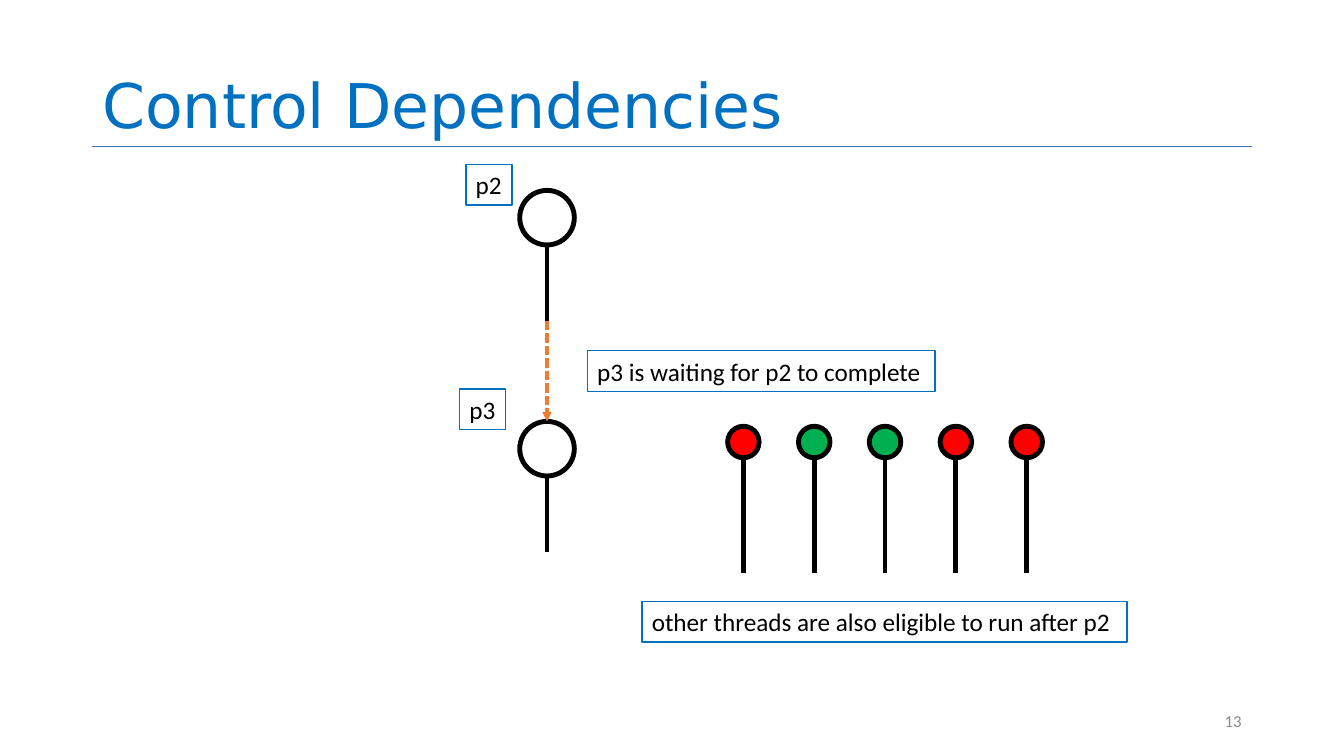
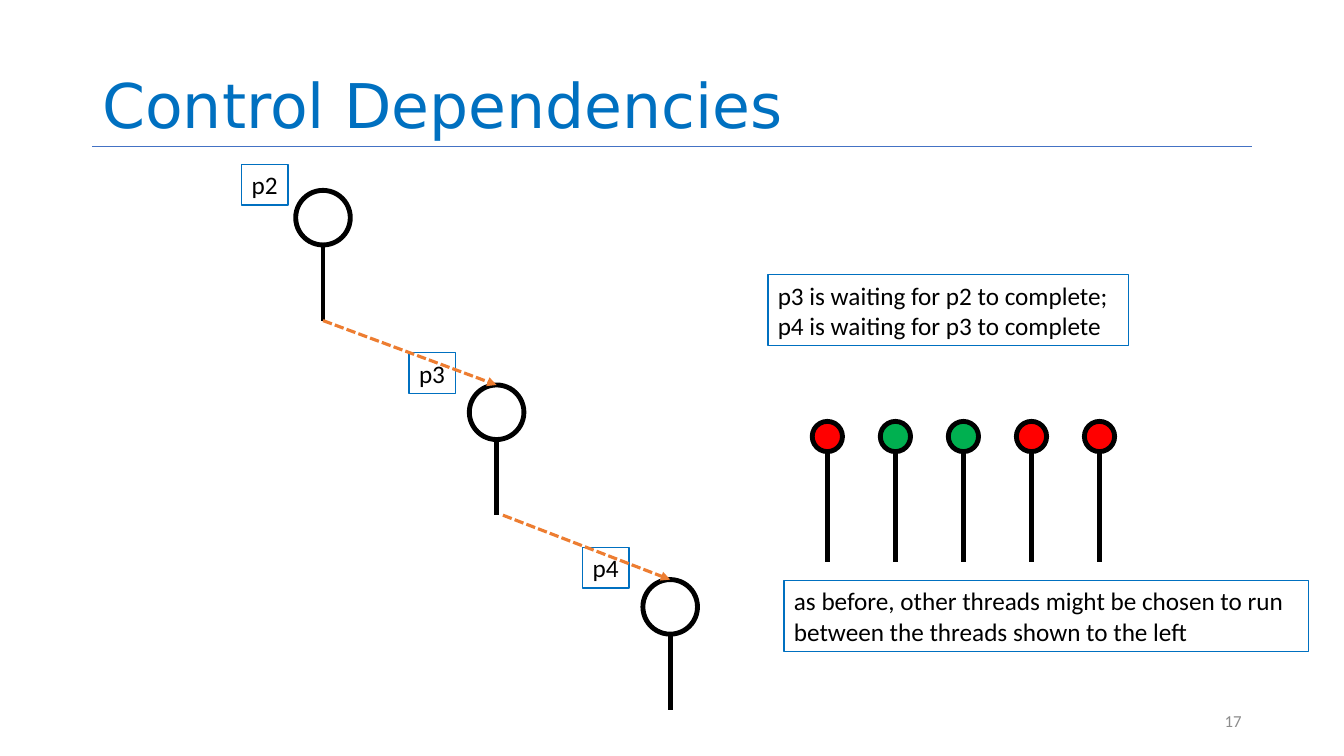
from pptx import Presentation
from pptx.dml.color import RGBColor
from pptx.enum.dml import MSO_LINE
from pptx.enum.shapes import MSO_CONNECTOR, MSO_SHAPE
from pptx.enum.text import MSO_ANCHOR, MSO_AUTO_SIZE, PP_ALIGN
from pptx.oxml import parse_xml
from pptx.oxml.ns import nsdecls, qn
from pptx.util import Pt

STRAIGHT, ELLIPSE = MSO_CONNECTOR.STRAIGHT, MSO_SHAPE.OVAL
SHORT_DASH = MSO_LINE.SQUARE_DOT
MIDDLE, BOTTOM = MSO_ANCHOR.MIDDLE, MSO_ANCHOR.BOTTOM
LEFT, RIGHT = PP_ALIGN.LEFT, PP_ALIGN.RIGHT
GROW = MSO_AUTO_SIZE.SHAPE_TO_FIT_TEXT

COLORS = {"blue": "0070C0", "rule": "4472C4", "black": "000000", "gray": "8C8C8C",
          "orange": "ED7D31", "red": "FF0000", "green": "00B050"}
COLORS = {name: RGBColor.from_string(value) for name, value in COLORS.items()}

STYLES = {
    "title": {"font": {"name": "DejaVu Sans", "size": Pt(44)}, "color": "blue",
              "frame": {"vertical_anchor": BOTTOM, "word_wrap": True},
              "para": {"alignment": LEFT, "line_spacing": 0.9}},
    "number": {"font": {"name": "Calibri", "size": Pt(12)}, "color": "gray",
               "frame": {"vertical_anchor": MIDDLE, "word_wrap": True},
               "para": {"alignment": RIGHT}},
    "label": {"font": {"name": "Calibri", "size": Pt(18)}, "color": "black",
              "frame": {"vertical_anchor": MIDDLE, "word_wrap": False, "auto_size": GROW},
              "para": {"alignment": LEFT}, "border": "blue"},
}
STYLES["wrapped label"] = {**STYLES["label"],
                           "frame": {**STYLES["label"]["frame"], "word_wrap": True}}

HEAD, STEM, STROKE = 39, 54, 3.5
LABEL_WIDTH, LABEL_HEIGHT = 33, 29
READY_COLORS = ["red", "green", "green", "red", "red"]

# Centers and tops of the heads; arrow_shift moves an arrow's start off the stem
SLIDES = [
    {"number": "13",
     "chain": [("p2", 390.75, 136, 0), ("p3", 390.75, 301, 0)],
     "ready": {"center": 531, "top": 304.5, "size": 22.5, "gap": 50.6, "stem": 82},
     "notes": [("label", ["p3 is waiting for p2 to complete"], (419.5, 250.5, 248.5, 29)),
               ("label", ["other threads are also eligible to run after p2"],
                (458.5, 429.5, 346.5, 29))]},
    {"number": "17",
     "chain": [(f"p{2 + step}", 230.75 + 124 * step, 136 + 139 * step, shift)
               for step, shift in enumerate([0, 0, 4.5])],
     "ready": {"center": 591, "top": 301, "size": 21.6, "gap": 48.6, "stem": 78.5},
     "notes": [("label", ["p3 is waiting for p2 to complete;",
                          "p4 is waiting for p3 to complete"], (548.5, 196, 257.5, 51)),
               ("wrapped label", ["as before, other threads might be chosen to run "
                                  "between the threads shown to the left"],
                (560, 414.5, 374.5, 51))]},
]


def add_line(page, start, end, color, width):
    line = page.shapes.add_connector(STRAIGHT, *map(Pt, start + end))
    line.line.color.rgb = COLORS[color]
    line.line.width = Pt(width)
    line._element.spPr.append(parse_xml(f"<a:effectLst {nsdecls('a')}/>"))
    return line


def add_text(page, style_name, lines, place):
    style = STYLES[style_name]
    box = page.shapes.add_textbox(*map(Pt, place))
    if "border" in style:
        box.line.color.rgb = COLORS[style["border"]]
        box.line.width = Pt(1)
    frame = box.text_frame
    frame.text = "\n".join(lines)
    for name, value in style["frame"].items():
        setattr(frame, name, value)
    for para in frame.paragraphs:
        for name, value in style["para"].items():
            setattr(para, name, value)
        for name, value in style["font"].items():
            setattr(para.font, name, value)
        para.font.color.rgb = COLORS[style["color"]]


deck = Presentation()
deck.slide_width, deck.slide_height = Pt(960), Pt(540)
blank = deck.slide_layouts[6]

for content in SLIDES:
    page = deck.slides.add_slide(blank)

    # Title, rule and page number
    add_line(page, (66, 104.5), (894, 104.5), "rule", 0.5)
    add_text(page, "title", ["Control Dependencies"], (66, 0, 828, 104.5))
    add_text(page, "number", [content["number"]], (678, 500.5, 216, 28.75))

    # Threads: the waiting chain, then the row of other threads
    ready = content["ready"]
    threads = [(center, top, HEAD, STEM, None) for _, center, top, _ in content["chain"]]
    threads += [(ready["center"] + ready["gap"] * column, ready["top"], ready["size"],
                 ready["stem"], color) for column, color in enumerate(READY_COLORS)]
    heads = []
    for center, top, size, stem, color in threads:
        neck = top + size
        add_line(page, (center, neck), (center, neck + stem), "black", STROKE)
        head = page.shapes.add_shape(ELLIPSE, Pt(center - size / 2), Pt(top), Pt(size), Pt(size))
        head.shadow.inherit = False
        head.line.color.rgb = COLORS["black"]
        head.line.width = Pt(STROKE)
        if color:
            head.fill.solid()
            head.fill.fore_color.rgb = COLORS[color]
        else:
            head.fill.background()
        heads.append(head)

    # Labels of the chain, and arrows from each stem to the next head
    for index, (name, center, top, arrow_shift) in enumerate(content["chain"]):
        left_by, up_by = (62.5, 23) if index else (58, 18.5)
        add_text(page, "label", [name],
                 (center - left_by, top - up_by, LABEL_WIDTH, LABEL_HEIGHT))
        if index:
            _, last_center, last_top, _ = content["chain"][index - 1]
            start = (last_center + arrow_shift, last_top + HEAD + STEM)
            arrow = add_line(page, start, (center, top), "orange", 2.25)
            arrow.end_connect(heads[index], 0)
            arrow.line.dash_style = SHORT_DASH
            outline = arrow._element.spPr.find(qn("a:ln"))
            outline.append(parse_xml(f'<a:tailEnd {nsdecls("a")} type="triangle"/>'))

    # Notes
    for style_name, lines, place in content["notes"]:
        add_text(page, style_name, lines, place)

deck.save("out.pptx")
